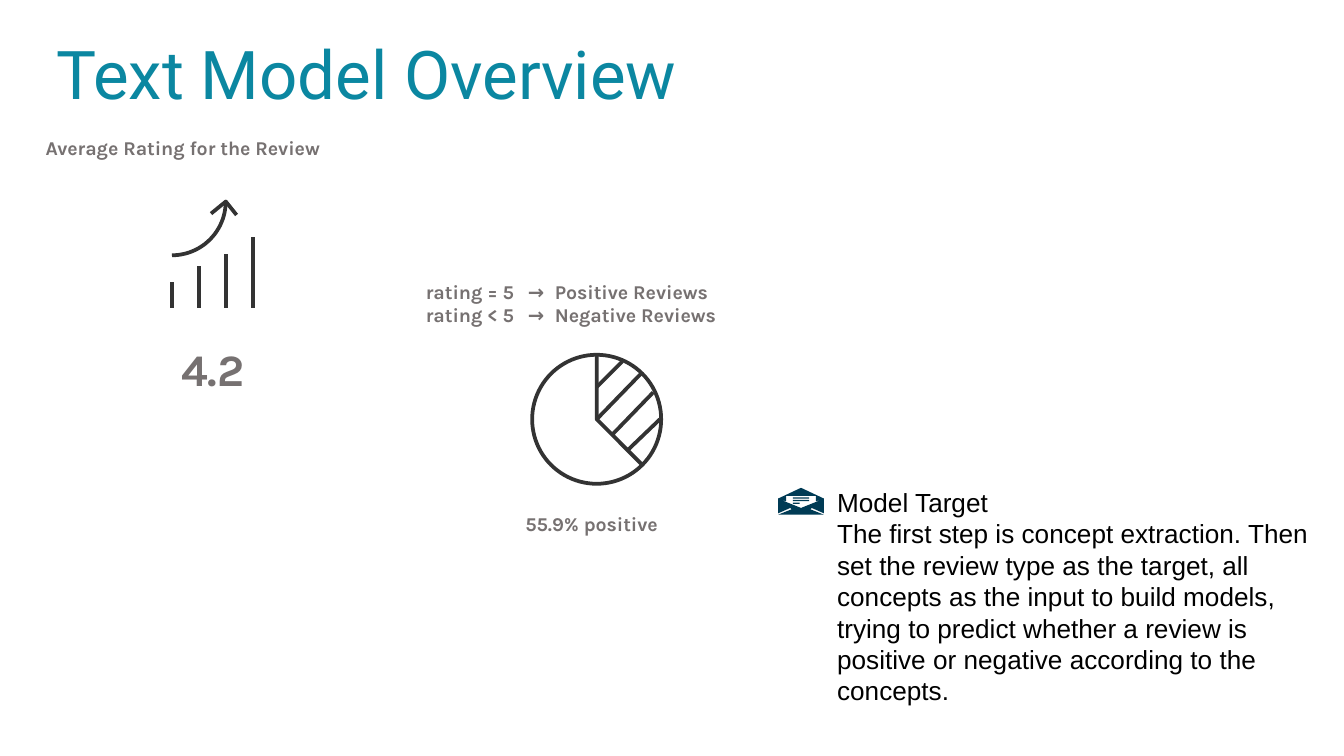
from math import cos, pi, sin

from lxml.etree import SubElement
from pptx import Presentation
from pptx.dml.color import RGBColor
from pptx.enum.shapes import MSO_CONNECTOR as Connector, MSO_SHAPE as Preset
from pptx.enum.text import MSO_ANCHOR as Anchor, MSO_AUTO_SIZE as AutoSize, PP_ALIGN as Align
from pptx.oxml.ns import qn
from pptx.util import Inches, Pt

GREY, INK, NAVY, TEAL, BLACK = "767171", "333333", "003B55", "0B87A1", "000000"


def paint(color_format, hex_color):
    """Set a colour from a hex string."""
    color_format.rgb = RGBColor.from_string(hex_color)


def write(paragraph, text, font, size, color, bold=False):
    """Add one formatted run to a paragraph."""
    run = paragraph.add_run()
    run.text = text
    run.font.name, run.font.size, run.font.bold = font, Pt(size), bold
    paint(run.font.color, color)


def add_title(slide, text):
    """Fill the title placeholder, moved to the top left."""
    title = slide.shapes.title
    title.left, title.top = Inches(0.32), Inches(0)
    title.width, title.height = Inches(7.39), Inches(0.94)
    frame = title.text_frame
    frame.auto_size, frame.vertical_anchor = AutoSize.NONE, Anchor.BOTTOM
    frame.margin_left = frame.margin_right = Inches(0.1)
    frame.margin_top = frame.margin_bottom = Inches(0.1)
    frame.paragraphs[0].alignment = Align.LEFT
    write(frame.paragraphs[0], text, "Roboto", 36, TEAL)


def add_text(slide, box, lines, font="Karla", size=10.5, color=GREY, bold=True,
             wrap=True, tabs=()):
    """Add a text box with one paragraph per line."""
    frame = slide.shapes.add_textbox(*map(Inches, box)).text_frame
    frame.word_wrap, frame.auto_size = wrap, AutoSize.SHAPE_TO_FIT_TEXT
    for index, line in enumerate(lines):
        paragraph = frame.add_paragraph() if index else frame.paragraphs[0]
        if tabs:
            stops = SubElement(paragraph._p.get_or_add_pPr(), qn("a:tabLst"))
            for stop in tabs:
                SubElement(stops, qn("a:tab"), pos=str(Inches(stop)), algn="l")
        write(paragraph, line, font, size, color, bold)


def style(shape, fill=None, line=None):
    """Give a shape a plain fill or a plain outline."""
    shape.shadow.inherit = False
    if fill:
        shape.fill.solid()
        paint(shape.fill.fore_color, fill)
    else:
        shape.fill.background()
    if line:
        paint(shape.line.color, line)
        shape.line.width = Pt(2)
    else:
        shape.line.fill.background()


def add_outline(group, contours, closed=False, **look):
    """Draw one freeform from one or more contours."""
    contours = [[(Inches(x), Inches(y)) for x, y in points] for points in contours]
    builder = group.shapes.build_freeform(*contours[0][0], scale=1.0)
    for index, points in enumerate(contours):
        if index:
            builder.move_to(*points[0])
        builder.add_line_segments(points[1:], close=closed)
    style(builder.convert_to_shape(), **look)


def add_stroke(group, start, end):
    """Draw one straight icon stroke."""
    ends = map(Inches, (*start, *end))
    stroke = group.shapes.add_connector(Connector.STRAIGHT, *ends)
    paint(stroke.line.color, INK)
    stroke.line.width = Pt(2)
    SubElement(stroke._element.spPr, qn("a:effectLst"))


def add_preset(group, preset, box, **look):
    """Add a preset shape to an icon."""
    style(group.shapes.add_shape(preset, *map(Inches, box)), **look)


def add_growth_icon(slide):
    """Draw rising bars under a curved arrow."""
    icon = slide.shapes.add_group_shape()
    left, top, radius, steps = 1.28, 1.5, 0.4, 24
    angles = [pi / 2 * step / steps for step in range(steps + 1)]
    curve = [(left + radius * cos(a), top + radius * sin(a)) for a in angles]
    add_outline(icon, [[(1.57, 1.59), (1.68, top), (1.76, 1.6)]], line=INK)
    add_outline(icon, [curve], line=INK)
    for index, bar_top in enumerate((2.1, 1.98, 1.89, 1.76)):
        x = left + 0.2 * index
        add_stroke(icon, (x, 2.29), (x, bar_top))


def add_share_icon(slide):
    """Draw a pie with one hatched slice."""
    icon = slide.shapes.add_group_shape()
    center_x, center_y, radius = 4.44, 3.12, 0.48
    add_preset(icon, Preset.OVAL, (center_x - radius, center_y - radius, 2 * radius, 2 * radius),
               line=INK)
    add_outline(icon, [[(center_x, center_y - radius), (center_x, center_y), (4.77, 3.45)]],
                line=INK)
    hatches = [((center_x, center_y), (4.77, 2.78)), ((4.55, 3.24), (4.86, 2.92)),
               ((4.67, 3.35), (4.91, 3.12)), ((center_x, 2.88), (4.63, 2.69))]
    for start, end in hatches:
        add_stroke(icon, start, end)


def add_letter_icon(slide):
    """Draw an open envelope with a written letter."""
    icon = slide.shapes.add_group_shape()
    middle = 5.96
    right_edge = [(0, 3.63), (0.17, 3.71), (0.17, 3.82), (0.08, 3.78), (0.07, 3.79), (0.17, 3.83)]
    right_letter = [(0.11, 3.69), (0.11, 3.73), (0.15, 3.72), (0, 3.78)]
    contours = [[(middle + dx, y) for dx, y in half] + [(middle - dx, y) for dx, y in half[::-1]]
                for half in (right_edge, right_letter)]
    add_outline(icon, contours, closed=True, fill=NAVY)
    for index, width in enumerate((0.12, 0.12, 0.05)):
        add_preset(icon, Preset.RECTANGLE, (5.9, 3.7 + 0.02 * index, width, 0.01), fill=NAVY)


def main():
    """Build the model overview slide."""
    deck = Presentation()
    deck.slide_width, deck.slide_height = Inches(10), Inches(10) * 9 // 16
    slide = deck.slides.add_slide(deck.slide_layouts[5])
    add_text(slide, (0.24, 0.96, 2.31, 0.28), ["Average Rating for the Review"], wrap=False)
    add_text(slide, (3.07, 2.03, 3.28, 0.45),
             ["rating = 5\t→\tPositive Reviews", "rating < 5\t→\tNegative Reviews"],
             tabs=(0.76, 0.96))
    add_text(slide, (6.13, 3.57, 3.92, 1.75),
             ["Model Target",
              "The first step is concept extraction. Then set the review type as the target, "
              "all concepts as the input to build models, trying to predict whether a review "
              "is positive or negative according to the concepts."],
             font="Arial", size=14, color=BLACK, bold=False)
    add_share_icon(slide)
    add_growth_icon(slide)
    add_text(slide, (1.25, 2.49, 0.68, 0.5), ["4.2"], size=24, wrap=False)
    add_text(slide, (3.81, 3.76, 1.21, 0.28), ["55.9% positive"], wrap=False)
    add_title(slide, "Text Model Overview")
    add_letter_icon(slide)
    deck.save("out.pptx")


if __name__ == "__main__":
    main()
